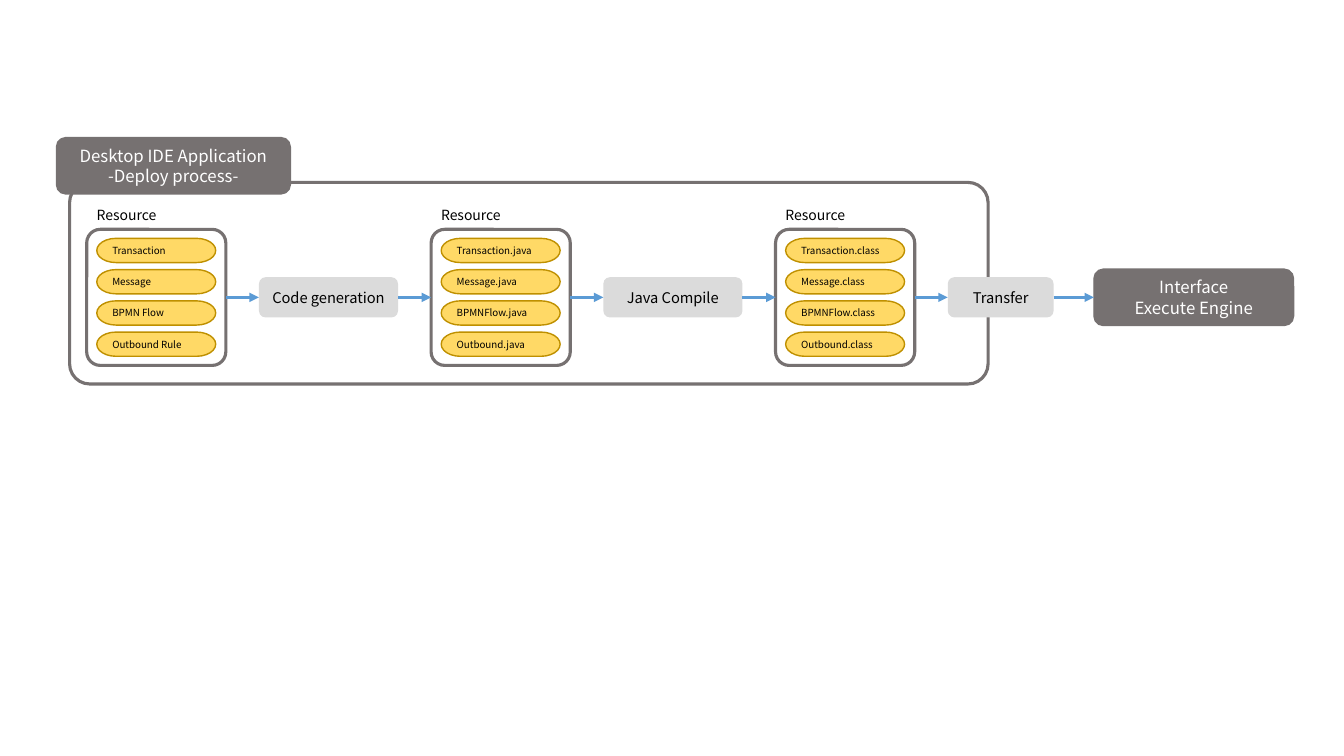
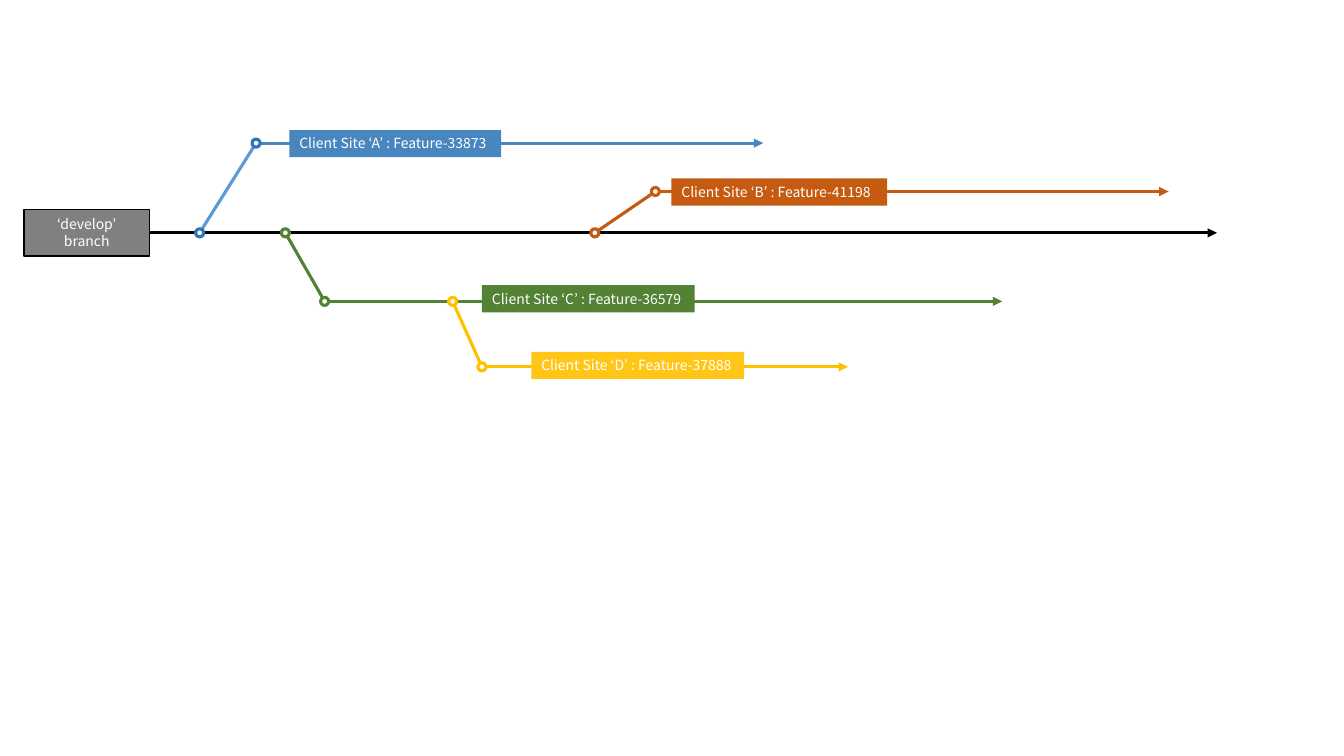
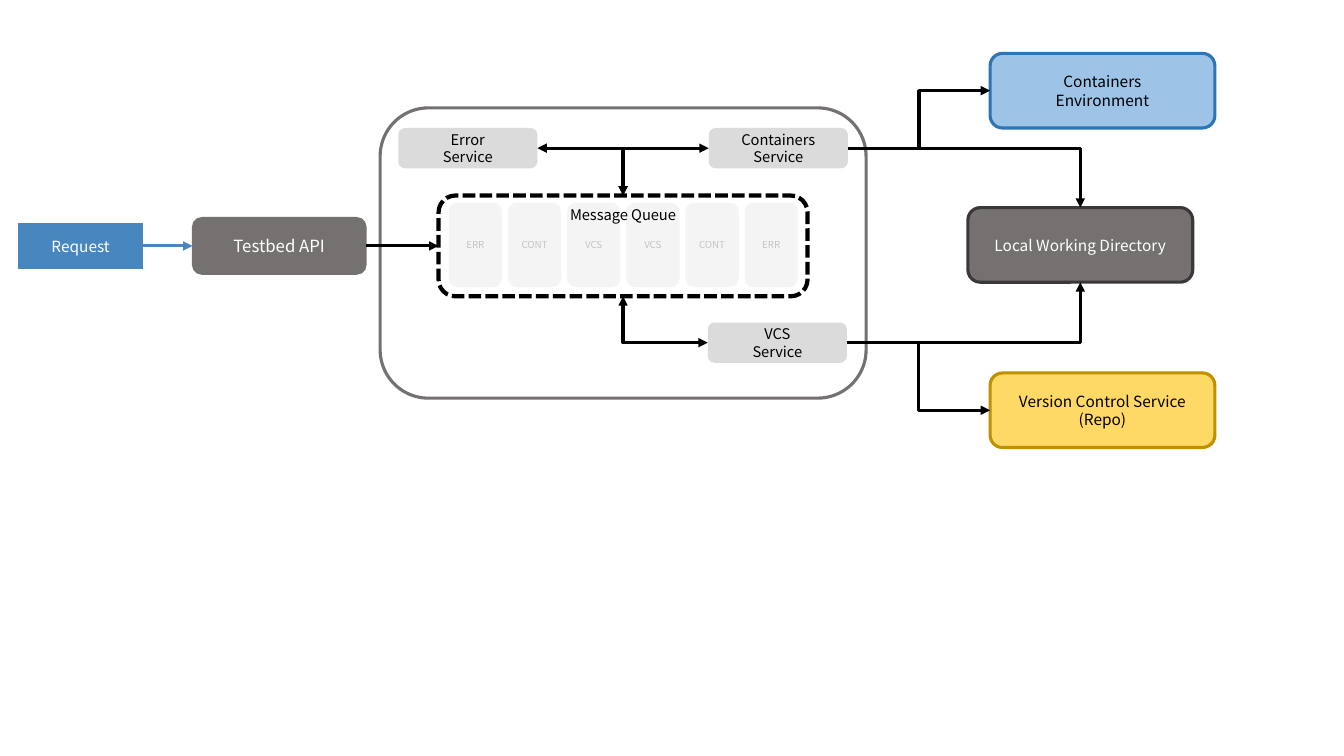
"""Build three diagrams: a deploy process, a branching model and a testbed."""
from pptx import Presentation
from pptx.dml.color import RGBColor
from pptx.enum.dml import MSO_LINE
from pptx.enum.shapes import MSO_CONNECTOR, MSO_SHAPE
from pptx.enum.text import MSO_ANCHOR, PP_ALIGN
from pptx.oxml.ns import qn
from pptx.oxml.xmlchemy import OxmlElement
from pptx.util import Inches, Pt

ROUND, RECT = MSO_SHAPE.ROUNDED_RECTANGLE, MSO_SHAPE.RECTANGLE
PROCESS = MSO_SHAPE.FLOWCHART_PROCESS
PILL, DOT = MSO_SHAPE.FLOWCHART_TERMINATOR, MSO_SHAPE.FLOWCHART_CONNECTOR
STRAIGHT, ELBOW = MSO_CONNECTOR.STRAIGHT, MSO_CONNECTOR.ELBOW
LEFT, CENTER = PP_ALIGN.LEFT, PP_ALIGN.CENTER
TOP, MIDDLE = MSO_ANCHOR.TOP, MSO_ANCHOR.MIDDLE
SHORT_DASH = MSO_LINE.SQUARE_DOT
SIDE_TOP, SIDE_LEFT, SIDE_BOTTOM, SIDE_RIGHT = range(4)

FONT = "Noto Sans CJK KR"
BLACK, WHITE = "000000", "FFFFFF"
DARK, LIGHT, GRAY = "767171", "DBDBDB", "808080"
SKY, BLUE, NAVY, PALE_BLUE = "5B9BD5", "4886BF", "2E75B6", "9DC3E6"
ORANGE, GREEN = "C55A11", "548235"
YELLOW, LABEL_YELLOW, GOLD, DARK_GOLD = "FFC000", "FFC618", "FFD966", "BF9000"
CHARCOAL = "3B3838"
LINE_W = 2.25


def paint(fill, color):
    """Fill with a hex colour, or with nothing."""
    if color:
        fill.solid()
        fill.fore_color.rgb = RGBColor.from_string(color)
    else:
        fill.background()


def write(sp, text, size, color, align=CENTER, anchor=MIDDLE, wrap=True):
    """Put each line of text in its own paragraph."""
    tf = sp.text_frame
    tf.word_wrap = wrap
    tf.vertical_anchor = anchor
    for i, line in enumerate(text.split("\n")):
        p = tf.paragraphs[0] if i == 0 else tf.add_paragraph()
        p.alignment = align
        r = p.add_run()
        r.text = line
        r.font.size = Pt(size)
        r.font.name = FONT
        paint(r.font.fill, color)


def shape(slide, kind, x, y, w, h, fill=None, line=None, width=LINE_W, adj=None):
    """Add a preset shape without a shadow."""
    sp = slide.shapes.add_shape(kind, Inches(x), Inches(y), Inches(w), Inches(h))
    sp.shadow.inherit = False
    paint(sp.fill, fill)
    paint(sp.line.fill, line)
    if line:
        sp.line.width = Pt(width)
    if adj:
        sp.adjustments[0] = adj
    return sp


def dark_box(slide, x, mid_y, w, text):
    """Add a dark rounded box centred on a height."""
    sp = shape(slide, ROUND, x, mid_y - 0.28, w, 0.56, DARK, DARK, 1)
    write(sp, text, 12, WHITE)
    return sp


def step(slide, x, mid_y, text, w=1.38):
    """Add a light rounded step centred on a height."""
    sp = shape(slide, ROUND, x, mid_y - 0.2, w, 0.4, LIGHT)
    write(sp, text, 10.5, BLACK)
    return sp


def resource(slide, x, mid_y, items):
    """Add a captioned frame with a column of pills."""
    top = mid_y - 0.675
    sp = shape(slide, ROUND, x, top, 1.38, 1.35, line=DARK, adj=0.1)
    for i, item in enumerate(items):
        pill = shape(slide, PILL, x + 0.1, top + 0.09 + i * 0.31, 1.18, 0.24, GOLD, DARK_GOLD, 1)
        write(pill, item, 7, BLACK, LEFT)
    tb = slide.shapes.add_textbox(Inches(x), Inches(top - 0.28), Inches(0.81), Inches(0.27))
    write(tb, "Resource", 10, BLACK, LEFT, TOP, False)
    return sp


def connector(slide, start, end, color, heads=(), kind=STRAIGHT):
    """Add a line between two points, with arrowheads at the named ends."""
    cx = slide.shapes.add_connector(kind, *map(Inches, start + end))
    paint(cx.line.fill, color)
    cx.line.width = Pt(LINE_W)
    for name in heads:
        head = OxmlElement(f"a:{name}")
        head.set("type", "triangle")
        cx.line._get_or_add_ln().append(head)
    cx.element.spPr.append(OxmlElement("a:effectLst"))
    return cx


def join(slide, a, side_a, b, side_b, color, heads=("tailEnd",), kind=STRAIGHT):
    """Join sides of two shapes; an elbow between unlike sides has one bend."""
    cx = connector(slide, (0, 0), (1, 1), color, heads, kind)
    cx.begin_connect(a, side_a)
    cx.end_connect(b, side_b)
    if kind == ELBOW and (side_a + side_b) % 2:
        cx.element.spPr.find(qn("a:prstGeom")).set("prst", "bentConnector2")


def branch(slide, color, ring, slant, fork, turn, end_x):
    """Add a branch that leaves at fork, turns and runs to end_x."""
    connector(slide, fork, turn, slant)
    connector(slide, turn, (end_x, turn[1]), color, ("tailEnd",))
    for x, y in (fork, turn):
        shape(slide, DOT, x - 0.04, y - 0.04, 0.08, 0.08, WHITE, ring)


def deploy_slide(slide):
    """Draw the deploy process."""
    mid, left, pitch = 2.95, 0.86, 1.708
    shape(slide, ROUND, 0.69, 1.81, 9.11, 2, line=DARK, adj=0.1)
    dark_box(slide, 0.56, 1.645, 2.32, "Desktop IDE Application\n-Deploy process-")
    columns = [
        ["Transaction", "Message", "BPMN Flow", "Outbound Rule"],
        "Code generation",
        [f"{name}.java" for name in ("Transaction", "Message", "BPMNFlow", "Outbound")],
        "Java Compile",
        [f"{name}.class" for name in ("Transaction", "Message", "BPMNFlow", "Outbound")],
    ]
    chain = []
    for i, content in enumerate(columns):
        add = step if isinstance(content, str) else resource
        chain.append(add(slide, left + i * pitch, mid, content))
    chain.append(step(slide, left + 5 * pitch, mid, "Transfer", 1.05))
    chain.append(dark_box(slide, 10.85, mid, 1.98, "Interface\nExecute Engine"))
    for a, b in zip(chain, chain[1:]):
        join(slide, a, SIDE_RIGHT, b, SIDE_LEFT, SKY)


def branch_slide(slide):
    """Draw the branches of the client sites."""
    trunk_y = 2.31
    develop = shape(slide, PROCESS, 0.24, trunk_y - 0.23, 1.24, 0.46, GRAY, BLACK, 1)
    write(develop, "‘develop’ branch", 10, WHITE)
    trunk = connector(slide, (1.48, trunk_y), (12.07, trunk_y), BLACK, ("tailEnd",))
    trunk.begin_connect(develop, SIDE_RIGHT)
    branch(slide, BLUE, NAVY, SKY, (1.98, trunk_y), (2.54, 1.42), 7.57)
    branch(slide, ORANGE, ORANGE, ORANGE, (5.9, trunk_y), (6.5, 1.9), 11.59)
    branch(slide, GREEN, GREEN, GREEN, (2.83, trunk_y), (3.22, 2.99), 9.94)
    branch(slide, YELLOW, YELLOW, YELLOW, (4.49, 2.99), (4.78, 3.64), 8.41)
    labels = [
        (2.87, 1.29, 2.1, BLUE, "Client Site ‘A’ : Feature-33873"),
        (6.66, 1.77, 2.14, ORANGE, "Client Site ‘B’ : Feature-41198"),
        (4.78, 2.83, 2.11, GREEN, "Client Site ‘C’ : Feature-36579"),
        (5.27, 3.49, 2.11, LABEL_YELLOW, "Client Site ‘D’ : Feature-37888"),
    ]
    for x, y, w, color, text in labels:
        write(shape(slide, RECT, x, y, w, 0.27, color), text, 10, WHITE, LEFT, TOP, False)


def target(slide, x, y, fill, line, text, color=BLACK):
    """Add an outlined box that a service works on."""
    sp = shape(slide, ROUND, x, y, 2.23, 0.74, fill, line)
    write(sp, text, 11, color)
    return sp


def queue_tile(slide, x, text):
    """Add a faint message tile."""
    sp = shape(slide, ROUND, x, 2.01, 0.53, 0.84, LIGHT)
    write(sp, text, 7, BLACK)
    for clr, share in zip(sp.element.iter(qn("a:srgbClr")), (30000, 20000)):
        alpha = OxmlElement("a:alpha")
        alpha.set("val", str(share))
        clr.append(alpha)


def testbed_slide(slide):
    """Draw the testbed services around the message queue."""
    mid, top_row, bottom_row = 2.44, 1.47, 3.4
    environment = target(slide, 9.82, 0.53, PALE_BLUE, NAVY, "Containers\nEnvironment")
    directory = target(slide, 9.6, 2.06, DARK, CHARCOAL, "Local Working Directory", WHITE)
    version = target(slide, 9.82, 3.7, GOLD, DARK_GOLD, "Version Control Service\n(Repo)")
    for i, text in enumerate(("ERR", "CONT", "VCS", "VCS", "CONT", "ERR")):
        queue_tile(slide, 4.45 + i * 0.587, text)
    shape(slide, ROUND, 3.77, 1.07, 4.82, 2.88, line=DARK)
    request = shape(slide, PROCESS, 0.18, mid - 0.23, 1.24, 0.46, BLUE)
    write(request, "Request", 11, WHITE)
    api = dark_box(slide, 1.91, mid, 1.72, "Testbed API")
    error = step(slide, 3.95, top_row, "Error\nService")
    containers = step(slide, 7.03, top_row, "Containers\nService")
    vcs = step(slide, 7.02, bottom_row, "VCS\nService")
    queue = shape(slide, ROUND, 4.35, mid - 0.5, 3.66, 1, line=BLACK, width=3)
    queue.line.dash_style = SHORT_DASH
    write(queue, "Message Queue", 10.5, BLACK, anchor=TOP)
    join(slide, request, SIDE_RIGHT, api, SIDE_LEFT, BLUE)
    join(slide, api, SIDE_RIGHT, queue, SIDE_LEFT, BLACK)
    for service, side, queue_side in (
        (error, SIDE_RIGHT, SIDE_TOP),
        (containers, SIDE_LEFT, SIDE_TOP),
        (vcs, SIDE_LEFT, SIDE_BOTTOM),
    ):
        join(slide, service, side, queue, queue_side, BLACK, ("headEnd", "tailEnd"), ELBOW)
    for service, place, side in (
        (containers, environment, SIDE_LEFT),
        (containers, directory, SIDE_TOP),
        (vcs, directory, SIDE_BOTTOM),
        (vcs, version, SIDE_LEFT),
    ):
        join(slide, service, SIDE_RIGHT, place, side, BLACK, kind=ELBOW)


def main():
    """Build and save the presentation."""
    prs = Presentation()
    prs.slide_width, prs.slide_height = Inches(13.33), Inches(7.5)
    for draw in (deploy_slide, branch_slide, testbed_slide):
        draw(prs.slides.add_slide(prs.slide_layouts[6]))
    prs.save("out.pptx")


if __name__ == "__main__":
    main()
